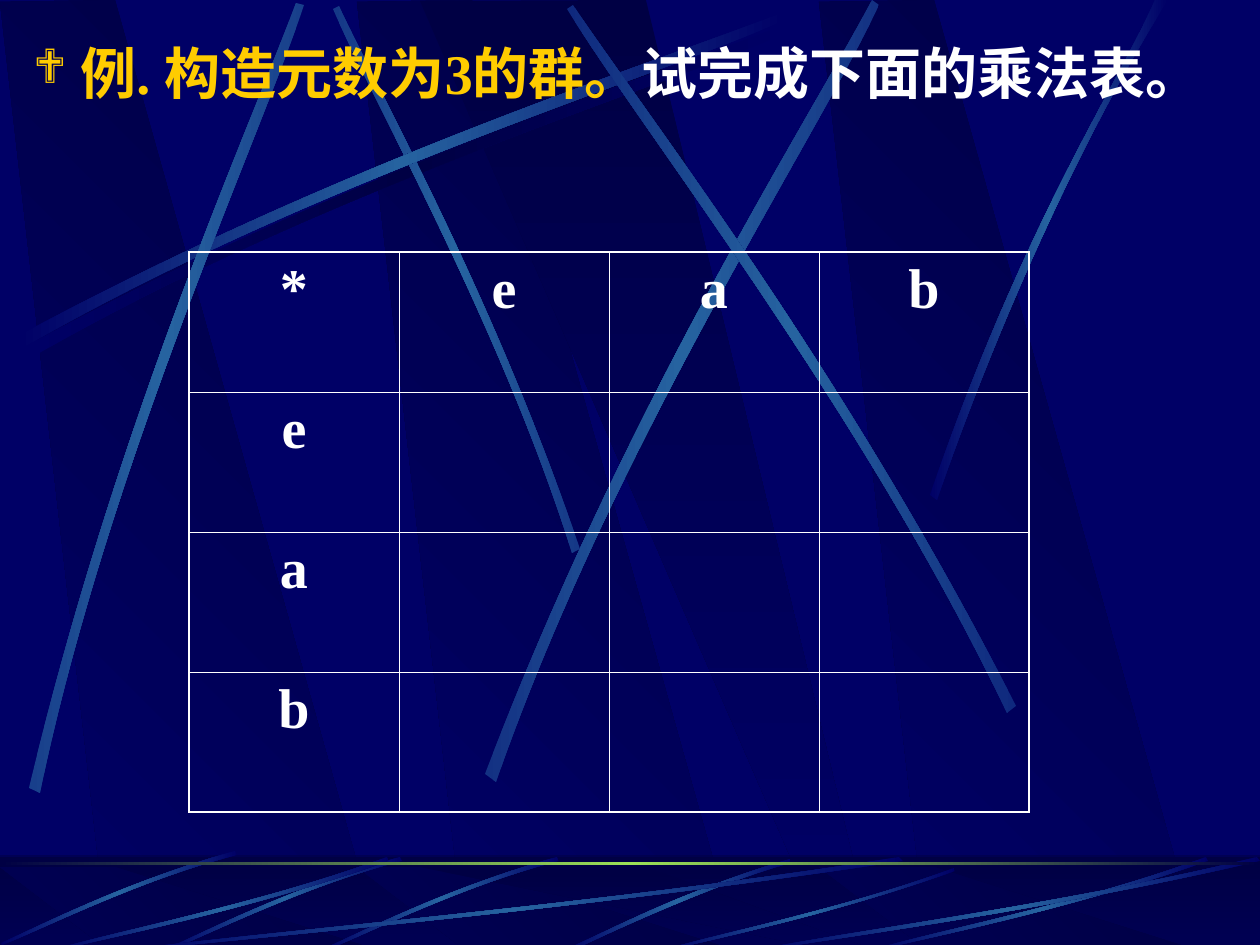
from dataclasses import dataclass

from lxml import etree
from pptx import Presentation
from pptx.dml.color import RGBColor
from pptx.enum.shapes import MSO_SHAPE
from pptx.enum.text import PP_ALIGN
from pptx.oxml.ns import qn
from pptx.util import Pt

EMU_PER_PX = 914400 / 126
RECTANGLE = MSO_SHAPE.RECTANGLE
CENTER = PP_ALIGN.CENTER
FONT = "Times New Roman"
COLORS = {"navy": "000066", "dark": "000044", "blue": "2663A0",
          "green": "9CE157", "gold": "FFCC00", "white": "FFFFFF"}

Point = tuple[int, int]


@dataclass
class Ribbon:
    """A thin band between two Bezier edges, given as eight points."""
    points: list[Point]
    core: str = "blue"
    glow: int = 0  # percent of the core colour left at both ends


@dataclass
class Panel:
    points: list[Point]
    angle: int


def px(value: float) -> int:
    return round(value * EMU_PER_PX)


def shift(points: list[Point], dx: int, dy: int = 0) -> list[Point]:
    return [(x + dx, y + dy) for x, y in points]


def blend(start: str, end: str, percent: int) -> str:
    pairs = zip(bytes.fromhex(start), bytes.fromhex(end))
    return "".join(f"{a + (b - a) * percent // 100:02X}" for a, b in pairs)


def add_solid(parent, color: str, alpha: int = 100) -> None:
    solid = etree.SubElement(parent, qn("a:solidFill"))
    tint = etree.SubElement(solid, qn("a:srgbClr"), val=color)
    if alpha < 100:
        etree.SubElement(tint, qn("a:alpha"), val=str(alpha * 1000))


def set_gradient(shape, colors: list[str], angle: int) -> None:
    gradient = etree.Element(qn("a:gradFill"), rotWithShape="1")
    stops = etree.SubElement(gradient, qn("a:gsLst"))
    for index, color in enumerate(colors):
        position = 100000 * index // (len(colors) - 1)
        stop = etree.SubElement(stops, qn("a:gs"), pos=str(position))
        etree.SubElement(stop, qn("a:srgbClr"), val=color)
    etree.SubElement(gradient, qn("a:lin"), ang=str(angle * 60000), scaled="0")
    replace_fill(shape, gradient)


def replace_fill(shape, fill) -> None:
    shape.shadow.inherit = False
    shape.line.fill.background()
    shape.fill.background()
    old = shape._element.spPr.find(qn("a:noFill"))
    old.getparent().replace(old, fill)


def add_outline(page, points: list[Point]):
    start, *rest = [(px(x), px(y)) for x, y in points]
    builder = page.shapes.build_freeform(*start, scale=1.0)
    builder.add_line_segments(rest, close=True)
    return builder.convert_to_shape()


def add_panel(page, panel: Panel) -> None:
    shape = add_outline(page, panel.points)
    set_gradient(shape, [COLORS["dark"], COLORS["navy"]], panel.angle)


def curve_edges(shape) -> None:
    """Join the three segments of each long edge into one Bezier curve."""
    segments = list(shape._element.iter(qn("a:lnTo")))
    for edge in (segments[:3], segments[4:7]):
        curve = etree.Element(qn("a:cubicBezTo"))
        edge[0].addprevious(curve)
        for segment in edge:
            curve.append(segment[0])
            segment.getparent().remove(segment)


def add_ribbon(page, ribbon: Ribbon) -> None:
    shape = add_outline(page, ribbon.points)
    curve_edges(shape)
    core = COLORS[ribbon.core]
    tip = blend(COLORS["navy"], core, ribbon.glow)
    set_gradient(shape, [tip, core, tip], 0)


def add_bar(page, top: int, height: int):
    return page.shapes.add_shape(RECTANGLE, 0, px(top), px(1260), px(height))


def add_span(para, text: str, color: str) -> None:
    span = para.add_run()
    span.text = text
    span.font.name, span.font.size, span.font.bold = FONT, Pt(32), True
    span.font.color.rgb = RGBColor.from_string(COLORS[color])


def set_borders(cell, row: int, column: int, last: int) -> None:
    edges = {"L": column == 0, "R": column == last, "T": row == 0, "B": row == last}
    properties = cell._tc.get_or_add_tcPr()
    for index, (side, outer) in enumerate(edges.items()):
        line = etree.Element(qn(f"a:ln{side}"), w=str(Pt(1.08 if outer else 0.45)))
        add_solid(line, COLORS["white"])
        properties.insert(index, line)


# Background shapes
SLAB = [(108, 945), (381, 948), (115, 0), (0, 2)]
LOW_SLAB = [(108, 950), (381, 951), (115, 867), (0, 867)]
SLAB_LEFTS = (357, 0, 819)
WEDGE = [(420, 1), (829, 946), (874, 946), (646, 0)]
LOW_WEDGE = [(420, 867), (829, 950), (874, 950), (646, 867)]
SWEEP = [(18, 336), (350, 158), (653, 64), (781, 13),
         (785, 20), (658, 77), (312, 180), (21, 349)]
RIBBONS = [
    Ribbon(shift(SWEEP, 8, 10), core="dark"),
    Ribbon([(580, 549), (493, 295), (381, 97), (339, 6),
            (333, 9), (372, 100), (501, 325), (572, 553)], glow=57),
    Ribbon(SWEEP),
    Ribbon([(29, 788), (117, 421), (248, 132), (296, 3),
            (304, 5), (261, 136), (108, 464), (40, 793)], glow=64),
    Ribbon([(485, 774), (627, 403), (804, 129), (872, 0),
            (879, 5), (818, 136), (612, 447), (496, 782)], glow=50),
    Ribbon([(1016, 706), (844, 369), (650, 120), (573, 5),
            (567, 9), (639, 127), (863, 410), (1007, 713)], glow=42),
    Ribbon([(930, 495), (1026, 218), (1119, 83), (1155, 0),
            (1168, 0), (1053, 183), (969, 406), (937, 500)]),
]
ARC = [(557, 857), (447, 888), (362, 932), (323, 949),
       (324, 951), (363, 936), (460, 886), (559, 861)]
LOW_RIBBONS = [Ribbon([(790, 859), (676, 893), (601, 935), (564, 950),
                       (571, 951), (617, 929), (719, 882), (791, 863)])]
LOW_RIBBONS += [Ribbon(shift(ARC, dx, dy)) for dx, dy in ((0, 0), (-157, 0), (-322, -6))]
# Fan ribbons share one outline, in percent of left, top, width, height
FAN = [(100, 4), (57, 57), (17, 85), (0.5, 100), (0, 99), (16, 81), (61, 51), (99.5, 0)]
FAN_BOXES = [(126, 857, 777, 94), (53, 857, 336, 94), (664, 868, 291, 83),
             (872, 857, 336, 94), (756, 857, 504, 94)]
LOW_RIBBONS += [Ribbon([(round(left + x * width / 100), round(top + y * height / 100))
                        for x, y in FAN]) for left, top, width, height in FAN_BOXES]


def draw_background(page) -> None:
    page.background.fill.solid()
    page.background.fill.fore_color.rgb = RGBColor.from_string(COLORS["navy"])
    for panel in [Panel(shift(SLAB, x), 135) for x in SLAB_LEFTS] + [Panel(WEDGE, 90)]:
        add_panel(page, panel)
    for ribbon in RIBBONS:
        add_ribbon(page, ribbon)
    # Bottom band
    set_gradient(add_bar(page, 857, 94), [COLORS["dark"], COLORS["navy"]], 90)
    for panel in [Panel(shift(LOW_SLAB, x), 135) for x in SLAB_LEFTS] + [Panel(LOW_WEDGE, 90)]:
        add_panel(page, panel)
    holder = etree.Element("holder")
    add_solid(holder, COLORS["dark"], alpha=50)
    replace_fill(add_bar(page, 855, 95), holder[0])
    for ribbon in LOW_RIBBONS:
        add_ribbon(page, ribbon)
    set_gradient(add_bar(page, 862, 3), [COLORS[c] for c in ("dark", "green", "dark")], 0)


def draw_question(page) -> None:
    box = page.shapes.add_textbox(px(21), px(32), px(1218), px(630))
    box.text_frame.word_wrap = True
    para = box.text_frame.paragraphs[0]
    properties = para._p.get_or_add_pPr()
    properties.set("marL", str(px(47)))
    properties.set("indent", str(px(-47)))
    properties.set("hangingPunct", "0")
    tint = etree.SubElement(properties, qn("a:buClr"))
    etree.SubElement(tint, qn("a:srgbClr"), val=COLORS["gold"])
    etree.SubElement(properties, qn("a:buSzPct"), val="85000")
    etree.SubElement(properties, qn("a:buFont"), typeface="Wingdings", charset="2")
    etree.SubElement(properties, qn("a:buChar"), char="❖")
    add_span(para, "例. 构造元数为3的群。", "gold")
    add_span(para, "试完成下面的乘法表。", "white")


def draw_table(page) -> None:
    labels = ["*", "e", "a", "b"]
    count = len(labels)
    table = page.shapes.add_table(count, count, px(189), px(252), px(840), px(560)).table
    table.first_row = table.horz_banding = False
    for row in range(count):
        for column in range(count):
            cell = table.cell(row, column)
            cell.fill.background()
            set_borders(cell, row, column, count - 1)
            if row == 0 or column == 0:
                para = cell.text_frame.paragraphs[0]
                para.alignment = CENTER
                add_span(para, labels[row + column], "white")


def main() -> None:
    deck = Presentation()
    deck.slide_width, deck.slide_height = px(1260), px(945)
    page = deck.slides.add_slide(deck.slide_layouts[6])
    draw_background(page)
    draw_question(page)
    draw_table(page)
    deck.save("out.pptx")


if __name__ == "__main__":
    main()
